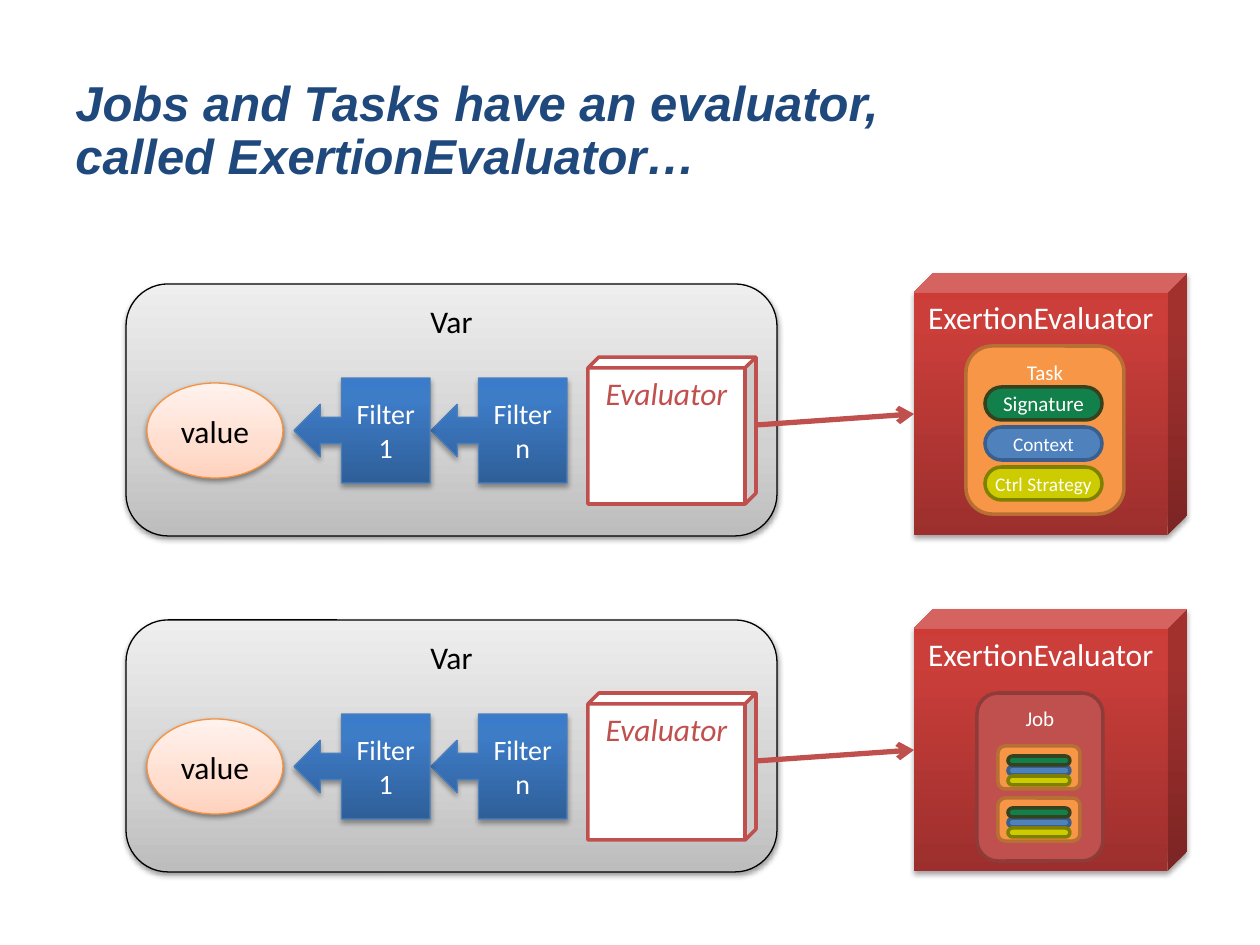
from lxml.etree import SubElement
from pptx import Presentation
from pptx.dml.color import RGBColor
from pptx.enum.shapes import MSO_CONNECTOR, MSO_SHAPE
from pptx.enum.text import MSO_ANCHOR, MSO_AUTO_SIZE, PP_ALIGN
from pptx.oxml.ns import qn
from pptx.util import Emu, Pt

COLORS = {
    "title": "1F497D", "white": "FFFFFF", "black": "000000",
    "red": "C0504D", "dark red": "8E3B39",
    "orange": "F79646", "dark orange": "B76F34", "value line": "F69240",
    "filter line": "4B7EBC", "blue": "4F81BD", "dark blue": "3A5F8C",
    "green": "12804A", "dark green": "36421E",
    "yellow": "CCCC00", "olive": "808000",
}
# Gradient stops run from bottom to top: percent, color.
GRADIENTS = {
    "red": [(0, "9C2F2D"), (80, "CB3E3A"), (100, "CE3B37")],
    "gray": [(0, "BDBDBD"), (35, "D1D1D1"), (100, "EEEEEE")],
    "blue": [(0, "2F5F99"), (80, "3D7CC7"), (100, "3A7CCB")],
    "peach": [(0, "FFD2BD"), (35, "FFDED0"), (100, "FFF2ED")],
}
# Shadow opacity in percent and distance in points.
STRONG, SOFT = (35, 1.8), (38, 1.6)

CUBE, ROUNDED = MSO_SHAPE.CUBE, MSO_SHAPE.ROUNDED_RECTANGLE
CALLOUT, OVAL = MSO_SHAPE.LEFT_ARROW_CALLOUT, MSO_SHAPE.OVAL
TOP, MIDDLE = MSO_ANCHOR.TOP, MSO_ANCHOR.MIDDLE

# Each look: preset, adjustment, fill, line, line width, shadow, text anchor, text color.
LOOKS = {
    "exertion": (CUBE, 0.074, GRADIENTS["red"], None, 0, STRONG, TOP, "white"),
    "var": (ROUNDED, None, GRADIENTS["gray"], "black", 0.75, SOFT, TOP, "black"),
    "filter": (CALLOUT, None, GRADIENTS["blue"], "filter line", 0.75, STRONG, MIDDLE, "white"),
    "evaluator": (CUBE, 0.074, "white", "red", 2, None, TOP, "red"),
    "value": (OVAL, None, GRADIENTS["peach"], "value line", 0.75, SOFT, MIDDLE, "black"),
    "task": (ROUNDED, None, "orange", "dark orange", 2, None, TOP, "white"),
    "job": (ROUNDED, None, "red", "dark red", 2, None, TOP, "white"),
    "signature": (ROUNDED, 0.5, "green", "dark green", 2, None, MIDDLE, "white"),
    "context": (ROUNDED, 0.5, "blue", "dark blue", 2, None, MIDDLE, "white"),
    "strategy": (ROUNDED, 0.5, "yellow", "olive", 2, None, MIDDLE, "white"),
}
# Drawing order, with the slot each pill takes inside a task.
PILLS = [("context", 1, "Context", 11, False),
         ("strategy", 2, "Ctrl Strategy", 11, False),
         ("signature", 0, "Signature", 12, True)]
ROW_STEP = 336


def px(length):
    return Emu(round(length * 914400 / 126))


def add_block(shapes, look, box, text="", size=18, italic=False, wrap=True):
    """Add a shape in one of LOOKS; box is left, top, width, height in px."""
    preset, adjustment, fill, line, line_width, shadow, anchor, text_color = LOOKS[look]
    shape = shapes.add_shape(preset, *map(px, box))
    if adjustment is not None:
        shape.adjustments[0] = adjustment
    properties = shape._element.spPr
    if isinstance(fill, str):
        shape.fill.solid()
        shape.fill.fore_color.rgb = RGBColor.from_string(COLORS[fill])
    else:
        shape.fill.gradient()
        shape.fill.gradient_angle = 90
        stops = properties.find(".//" + qn("a:gsLst"))
        stops.clear()
        for percent, color in fill:
            stop = SubElement(stops, qn("a:gs"), pos=str(percent * 1000))
            SubElement(stop, qn("a:srgbClr"), val=color)
    if line:
        shape.line.color.rgb = RGBColor.from_string(COLORS[line])
        shape.line.width = Pt(line_width)
    else:
        shape.line.fill.background()
    shape.shadow.inherit = False
    if shadow:
        opacity, distance = shadow
        outer = SubElement(properties.find(qn("a:effectLst")), qn("a:outerShdw"),
                           blurRad=str(Pt(3.1)), dist=str(Pt(distance)),
                           dir="5400000", rotWithShape="0")
        color = SubElement(outer, qn("a:srgbClr"), val=COLORS["black"])
        SubElement(color, qn("a:alpha"), val=str(opacity * 1000))
    if text:
        frame = shape.text_frame
        frame.word_wrap = wrap
        frame.vertical_anchor = anchor
        paragraph = frame.paragraphs[0]
        paragraph.text = text
        paragraph.alignment = PP_ALIGN.CENTER
        values = {"name": "Calibri", "size": Pt(size), "italic": italic}
        for name, value in values.items():
            setattr(paragraph.font, name, value)
        paragraph.font.color.rgb = RGBColor.from_string(COLORS[text_color])


presentation = Presentation()
presentation.slide_width, presentation.slide_height = px(1260), px(945)
slide = presentation.slides.add_slide(presentation.slide_layouts[6])

# Title
title = slide.shapes.add_textbox(px(63), px(73), px(850), px(120))
title.text_frame.word_wrap = True
title.text_frame.auto_size = MSO_AUTO_SIZE.SHAPE_TO_FIT_TEXT
paragraph = title.text_frame.paragraphs[0]
paragraph.text = "Jobs and Tasks have an evaluator, called ExertionEvaluator…"
paragraph.line_spacing = 0.9
title_format = {"name": "Arial", "size": Pt(28), "bold": True, "italic": True}
for name, value in title_format.items():
    setattr(paragraph.font, name, value)
paragraph.font.color.rgb = RGBColor.from_string(COLORS["title"])

# Two rows: a Var whose evaluator points to an ExertionEvaluator
for row in range(2):
    top = row * ROW_STEP
    add_block(slide.shapes, "exertion", (914, 273 + top, 273, 262), "ExertionEvaluator")
    add_block(slide.shapes, "var", (126, 284 + top, 651, 252), "Var")
    add_block(slide.shapes, "filter", (431, 378 + top, 136, 105), "Filter n", 16)
    add_block(slide.shapes, "evaluator", (588, 357 + top, 168, 147), "Evaluator", italic=True)
    add_block(slide.shapes, "filter", (294, 378 + top, 136, 105), "Filter 1", 16)
    add_block(slide.shapes, "value", (147, 383 + top, 136, 95), "value")

    arrow = slide.shapes.add_connector(MSO_CONNECTOR.STRAIGHT, px(756), px(425 + top),
                                       px(914), px(414 + top))
    arrow.line.color.rgb = RGBColor.from_string(COLORS["red"])
    arrow.line.width = Pt(3)
    SubElement(arrow.line._get_or_add_ln(), qn("a:tailEnd"), type="arrow")
    SubElement(arrow._element.spPr, qn("a:effectLst"))

# Task with its labelled parts
task = slide.shapes.add_group_shape().shapes
add_block(task, "task", (966, 346, 158, 168), "Task", 12)
for look, slot, text, size, wrap in PILLS:
    add_block(task, look, (985, 387 + 40 * slot, 117, 33), text, size, wrap=wrap)

# Job holding two small tasks
job = slide.shapes.add_group_shape().shapes
add_block(job, "job", (977, 693, 126, 168), "Job", 12)
for task_top in (798, 746):
    add_block(job, "task", (998, task_top, 82, 43))
    for look, slot, *_ in PILLS:
        add_block(job, look, (1008, task_top + 10 + 10 * slot, 62, 9))

presentation.save("out.pptx")
